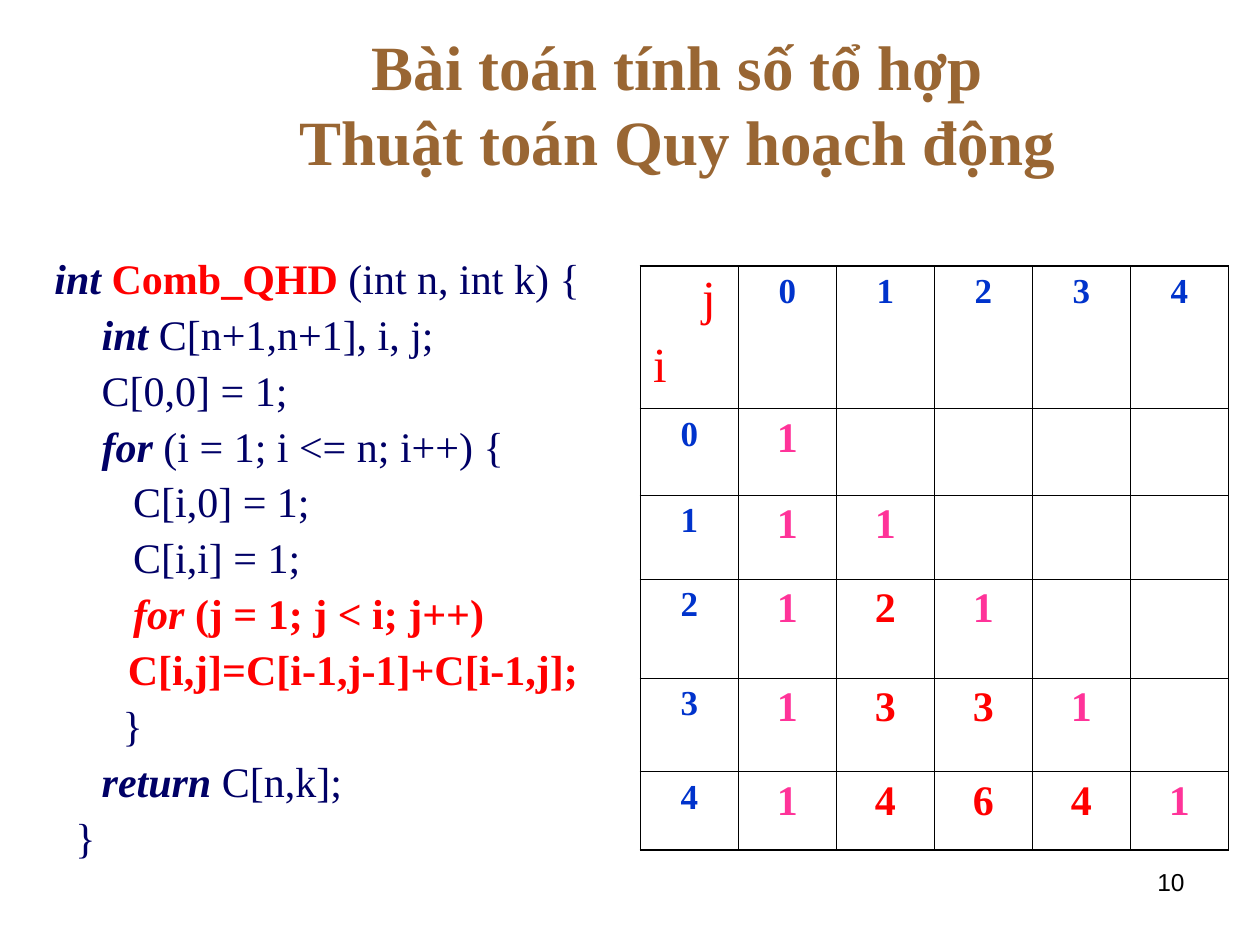
from pptx import Presentation
from pptx.dml.color import RGBColor
from pptx.enum.text import MSO_ANCHOR, PP_ALIGN
from pptx.oxml.xmlchemy import OxmlElement
from pptx.util import Pt

LEFT, CENTER, RIGHT = PP_ALIGN.LEFT, PP_ALIGN.CENTER, PP_ALIGN.RIGHT
TOP, MIDDLE = MSO_ANCHOR.TOP, MSO_ANCHOR.MIDDLE
SERIF, SANS = "Times New Roman", "Arial"
BROWN, NAVY, RED = "996633", "000066", "FF0000"
BLUE, PINK, BLACK = "0033CC", "FF3399", "000000"

# Content
TITLE = "Bài toán tính số tổ hợp\vThuật toán Quy hoạch động"
PAGE_NUMBER = "10"

CODE = [
    [("int ", "keyword"), ("Comb_QHD ", "strong"), ("(int n, int k) {", "plain")],
    [("\tint ", "keyword"), ("C[n+1,n+1], i, j;", "plain")],
    [("\tC[0,0] = 1;", "plain")],
    [("\tfor", "keyword"), (" (i = 1; i <= n; i++) {", "plain")],
    [("\t   C[i,0] = 1;", "plain")],
    [("\t   C[i,i] = 1;", "plain")],
    [("\t   ", "plain"), ("for ", "strong keyword"), ("(j = 1; j < i; j++)", "strong")],
    [("       C[i,j]=C[i-1,j-1]+C[i-1,j];", "strong")],
    [("\t  }", "plain")],
    [("\treturn", "keyword"), (" C[n,k];", "plain")],
    [("  }", "plain")],
]

AXES = ("j", "i")
INDICES = ["0", "1", "2", "3", "4"]
COMBINATIONS = [
    ["1"],
    ["1", "1"],
    ["1", "2", "1"],
    ["1", "3", "3", "1"],
    ["1", "4", "6", "4", "1"],
]

# Formats
TITLE_FONT = {"name": SERIF, "size": Pt(36), "bold": True, "color": BROWN}
NUMBER_FONT = {"name": SANS, "size": Pt(14), "color": BLACK}
CODE_FONT = {"name": SERIF, "size": Pt(24), "color": NAVY}
CODE_FONTS = {
    "plain": CODE_FONT,
    "keyword": {**CODE_FONT, "bold": True, "italic": True},
    "strong": {**CODE_FONT, "bold": True, "color": RED},
    "strong keyword": {**CODE_FONT, "bold": True, "italic": True, "color": RED},
}
AXIS_FONT = {"name": SERIF, "size": Pt(28), "color": RED}
INDEX_FONT = {"name": SERIF, "size": Pt(20), "bold": True, "color": BLUE}
EDGE_FONT = {"name": SERIF, "size": Pt(24), "bold": True, "color": PINK}
INNER_FONT = {**EDGE_FONT, "color": RED}

# Layout in points
TABLE_LEFT, TABLE_TOP = 366, 152
COLUMN_WIDTH = 56
ROW_HEIGHTS = [81.5, 49.4, 48, 56.6, 53.4, 45]
OUTER_LINE, INNER_LINE = 1.08, 0.45
CODE_INDENT = 27
AXIS_INDENT = 28


def rgb(color):
    return RGBColor.from_string(color)


def add_span(para, text, style):
    span = para.add_run()
    span.text = text
    for key, value in style.items():
        if key == "color":
            span.font.color.rgb = rgb(value)
        else:
            setattr(span.font, key, value)


def add_box(page, left, top, width, height, anchor=TOP):
    box = page.shapes.add_textbox(Pt(left), Pt(top), Pt(width), Pt(height))
    box.text_frame.word_wrap = True
    box.text_frame.vertical_anchor = anchor
    return box.text_frame


def add_line(page, text, style, align, *place):
    para = add_box(page, *place).paragraphs[0]
    para.alignment = align
    for number, part in enumerate(text.split("\v")):
        if number:
            para.add_line_break()
        add_span(para, part, style)


def set_indent(para, margin, first=0):
    properties = para._p.get_or_add_pPr()
    properties.set("marL", str(Pt(margin)))
    properties.set("indent", str(Pt(first)))


def set_borders(cell, widths):
    properties = cell._tc.get_or_add_tcPr()
    for position, (side, width) in enumerate(widths.items()):
        line = OxmlElement(f"a:ln{side}")
        line.set("w", str(Pt(width)))
        fill = OxmlElement("a:solidFill")
        color = OxmlElement("a:srgbClr")
        color.set("val", BLACK)
        fill.append(color)
        line.append(fill)
        properties.insert(position, line)


def fill_cell(cell, text, style):
    para = cell.text_frame.paragraphs[0]
    para.alignment = CENTER
    add_span(para, text, style)


def add_code(page):
    frame = add_box(page, 24, 144, 336, 378)
    for number, spans in enumerate(CODE):
        para = frame.add_paragraph() if number else frame.paragraphs[0]
        set_indent(para, CODE_INDENT, -CODE_INDENT)
        para.line_spacing = 0.9
        para.space_before = Pt(6 if number else 0)
        for text, kind in spans:
            add_span(para, text, CODE_FONTS[kind])


def add_combinations(page):
    size = len(INDICES) + 1
    table = page.shapes.add_table(
        size, size, Pt(TABLE_LEFT), Pt(TABLE_TOP),
        Pt(COLUMN_WIDTH * size), Pt(sum(ROW_HEIGHTS))).table
    table.first_row = table.horz_banding = False
    for column in table.columns:
        column.width = Pt(COLUMN_WIDTH)
    for row, height in zip(table.rows, ROW_HEIGHTS):
        row.height = Pt(height)

    # Grid with a heavier outer frame
    for r in range(size):
        for c in range(size):
            cell = table.cell(r, c)
            cell.fill.background()
            outer = {"L": c == 0, "R": c == size - 1, "T": r == 0, "B": r == size - 1}
            set_borders(cell, {side: OUTER_LINE if edge else INNER_LINE
                               for side, edge in outer.items()})

    # Axis names in the corner cell
    corner = table.cell(0, 0).text_frame
    column_axis, row_axis = corner.paragraphs[0], corner.add_paragraph()
    set_indent(column_axis, AXIS_INDENT)
    row_axis.space_before = Pt(7)
    for para, name in zip((column_axis, row_axis), AXES):
        add_span(para, name, AXIS_FONT)

    # Indices and values
    for number, index in enumerate(INDICES, 1):
        fill_cell(table.cell(0, number), index, INDEX_FONT)
        fill_cell(table.cell(number, 0), index, INDEX_FONT)
    for r, values in enumerate(COMBINATIONS, 1):
        for c, value in enumerate(values, 1):
            fill_cell(table.cell(r, c), value, EDGE_FONT if value == "1" else INNER_FONT)


def main():
    deck = Presentation()
    deck.slide_width, deck.slide_height = Pt(720), Pt(540)
    page = deck.slides.add_slide(deck.slide_layouts[6])
    add_line(page, TITLE, TITLE_FONT, CENTER, 90, 21.6, 594, 74.2, MIDDLE)
    add_code(page)
    add_line(page, PAGE_NUMBER, NUMBER_FONT, RIGHT, 516, 492, 168, 37.4)
    add_combinations(page)
    deck.save("out.pptx")


if __name__ == "__main__":
    main()
